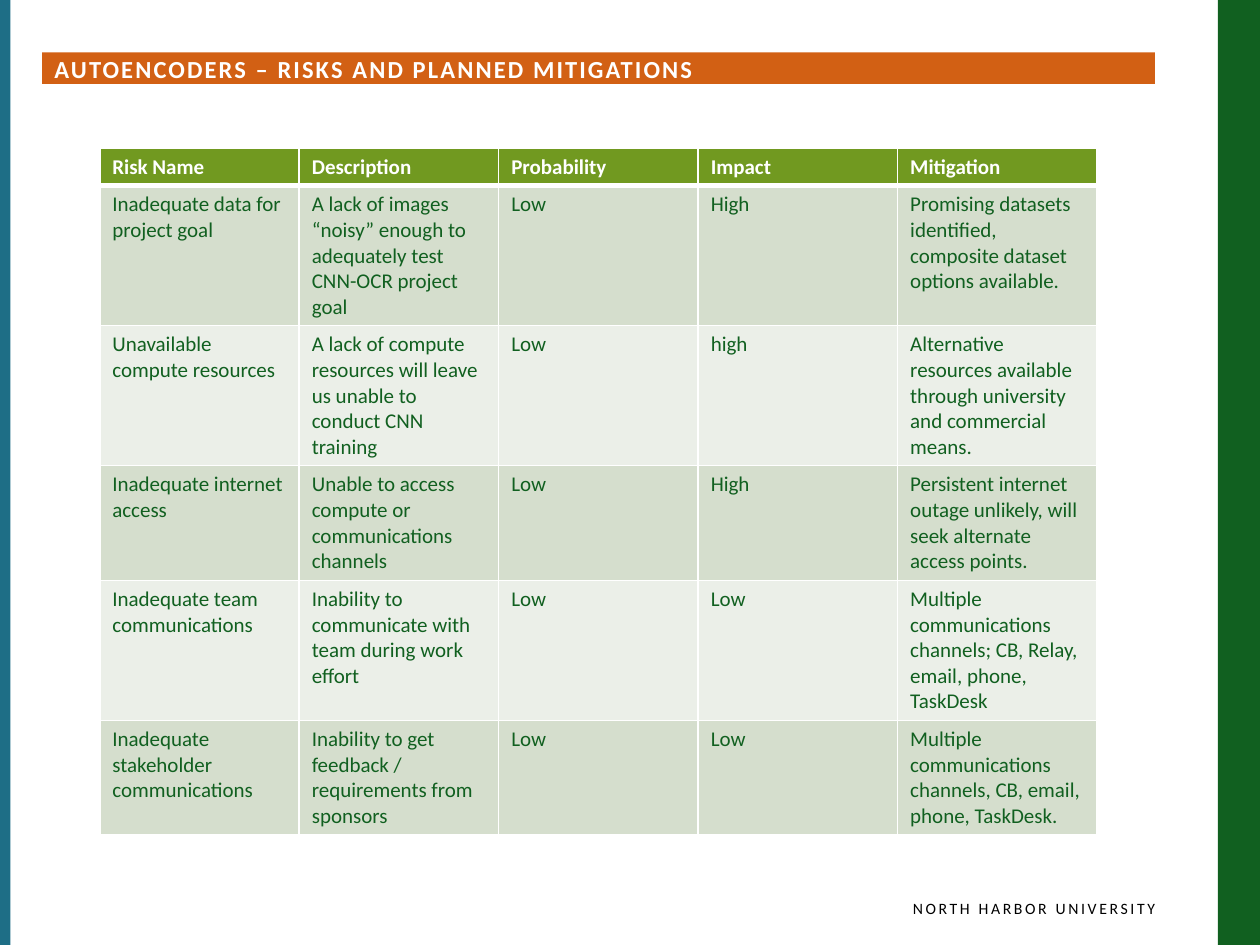
from typing import NamedTuple

from lxml import etree
from pptx import Presentation
from pptx.dml.color import RGBColor
from pptx.enum.shapes import MSO_SHAPE
from pptx.enum.text import MSO_ANCHOR, PP_ALIGN
from pptx.oxml.ns import qn
from pptx.util import Pt

RECTANGLE = MSO_SHAPE.RECTANGLE
TOP, MIDDLE = MSO_ANCHOR.TOP, MSO_ANCHOR.MIDDLE
LEFT, RIGHT = PP_ALIGN.LEFT, PP_ALIGN.RIGHT
FONT = "Calibri"
WHITE, BLACK, GREEN, TEAL = "FFFFFF", "000000", "116020", "1E6E86"
ORANGE, HEADER_GREEN = "D26014", "719920"
BANDS = ("D5DECD", "EBEFE8")
COLUMN_WIDTH = 114
HEADER_HEIGHT = 21.5


class Bar(NamedTuple):
    """A plain filled rectangle, in points."""

    left: float
    top: float
    width: float
    height: float
    color: str


class Risk(NamedTuple):
    """One body row of the risk table."""

    height: float
    name: str
    description: str
    probability: str
    impact: str
    mitigation: str


SIDE_BARS = (Bar(696, 0, 24, 540, GREEN), Bar(0, 0, 6, 540, TEAL))
TITLE_BAR = Bar(24, 30, 636, 18, ORANGE)
HEADINGS = ("Risk Name", "Description", "Probability", "Impact", "Mitigation")
RISKS = (
    Risk(80, "Inadequate data for project goal",
         "A lack of images “noisy” enough to adequately test CNN-OCR project goal",
         "Low", "High",
         "Promising datasets identified, composite dataset options available."),
    Risk(80, "Unavailable compute resources",
         "A lack of compute resources will leave us unable to conduct CNN training",
         "Low", "high",
         "Alternative resources available through university and commercial means."),
    Risk(65.5, "Inadequate internet access",
         "Unable to access compute or communications channels",
         "Low", "High",
         "Persistent internet outage unlikely, will seek alternate access points."),
    Risk(80, "Inadequate team communications",
         "Inability to communicate with team during work effort",
         "Low", "Low",
         "Multiple communications channels; CB, Relay, email, phone, TaskDesk"),
    Risk(65.5, "Inadequate stakeholder communications",
         "Inability to get feedback / requirements from sponsors",
         "Low", "Low",
         "Multiple communications channels, CB, email, phone, TaskDesk."),
)


def rgb(color: str) -> RGBColor:
    """Turn a hex string into a colour."""
    return RGBColor.from_string(color)


def write(frame, text: str, *, size: float, color: str, bold: bool = False,
          spacing: float = 0, align=LEFT) -> None:
    """Write one formatted paragraph into a text frame."""
    frame.word_wrap = True
    para = frame.paragraphs[0]
    para.alignment = align
    span = para.add_run()
    span.text = text
    span.font.name = FONT
    span.font.size = Pt(size)
    span.font.bold = bold
    span.font.color.rgb = rgb(color)
    if spacing:
        span.font._element.set("spc", str(round(spacing * 100)))


def set_margins(frame, left: float, top: float, right: float, bottom: float) -> None:
    """Set the inner margins of a text frame."""
    frame.margin_left, frame.margin_top = Pt(left), Pt(top)
    frame.margin_right, frame.margin_bottom = Pt(right), Pt(bottom)


def draw_bar(page, bar: Bar):
    """Draw a filled rectangle without outline or shadow."""
    shape = page.shapes.add_shape(RECTANGLE, Pt(bar.left), Pt(bar.top),
                                  Pt(bar.width), Pt(bar.height))
    shape.shadow.inherit = False
    shape.fill.solid()
    shape.fill.fore_color.rgb = rgb(bar.color)
    shape.line.fill.background()
    return shape


def draw_title(page) -> None:
    """Draw the title bar with its heading."""
    frame = draw_bar(page, TITLE_BAR).text_frame
    set_margins(frame, 7.2, 0, 7.2, 0)
    frame.vertical_anchor = MIDDLE
    write(frame, "AUTOENCODERS – RISKS AND PLANNED MITIGATIONS",
          size=14, color=WHITE, bold=True, spacing=1.2)


def draw_footer(page) -> None:
    """Draw the right-aligned institution name."""
    box = page.shapes.add_textbox(Pt(366), Pt(510), Pt(294), Pt(24))
    set_margins(box.text_frame, 7.2, 3.6, 0, 3.6)
    box.text_frame.vertical_anchor = TOP
    write(box.text_frame, "NORTH HARBOR UNIVERSITY",
          size=9, color=BLACK, spacing=1.5, align=RIGHT)


def set_borders(cell, top: float, bottom: float) -> None:
    """Give a cell white borders, with 1 pt sides."""
    properties = cell._tc.get_or_add_tcPr()
    widths = {"a:lnL": 1, "a:lnR": 1, "a:lnT": top, "a:lnB": bottom}
    for index, (tag, width) in enumerate(widths.items()):
        line = etree.Element(qn(tag), w=str(Pt(width)))
        fill = etree.SubElement(line, qn("a:solidFill"))
        etree.SubElement(fill, qn("a:srgbClr"), val=WHITE)
        properties.insert(index, line)


def fill_row(table, index: int, texts: tuple, height: float, *, fill: str,
             color: str, bold: bool = False, top: float = 1, bottom: float = 1) -> None:
    """Fill and format one table row."""
    table.rows[index].height = Pt(height)
    for cell, text in zip(table.rows[index].cells, texts):
        cell.fill.solid()
        cell.fill.fore_color.rgb = rgb(fill)
        set_borders(cell, top, bottom)
        write(cell.text_frame, text, size=12, color=color, bold=bold)


def draw_risks(page) -> None:
    """Draw the risk table with a header and banded rows."""
    height = HEADER_HEIGHT + sum(risk.height for risk in RISKS)
    table = page.shapes.add_table(
        len(RISKS) + 1, len(HEADINGS), Pt(57), Pt(84.5),
        Pt(COLUMN_WIDTH * len(HEADINGS)), Pt(height)).table
    for column in table.columns:
        column.width = Pt(COLUMN_WIDTH)
    fill_row(table, 0, HEADINGS, HEADER_HEIGHT, fill=HEADER_GREEN,
             color=WHITE, bold=True, bottom=3)
    for index, risk in enumerate(RISKS, start=1):
        fill_row(table, index, risk[1:], risk.height, fill=BANDS[(index - 1) % 2],
                 color=GREEN, top=3 if index == 1 else 1)


def main() -> None:
    """Build and save the deck."""
    deck = Presentation()
    deck.slide_width, deck.slide_height = Pt(720), Pt(540)
    page = deck.slides.add_slide(deck.slide_layouts[6])
    page.background.fill.solid()
    page.background.fill.fore_color.rgb = rgb(WHITE)
    for bar in SIDE_BARS:
        draw_bar(page, bar)
    draw_footer(page)
    draw_title(page)
    draw_risks(page)
    deck.save("out.pptx")


if __name__ == "__main__":
    main()
